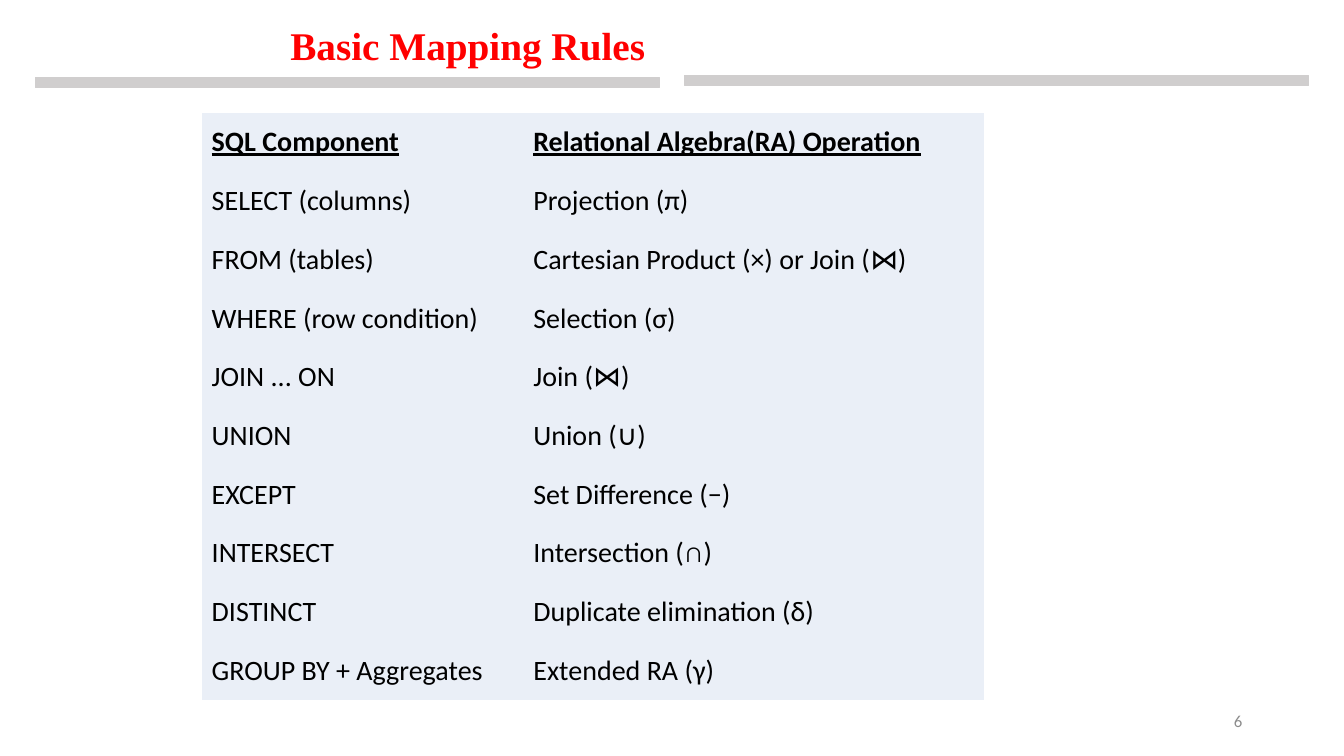
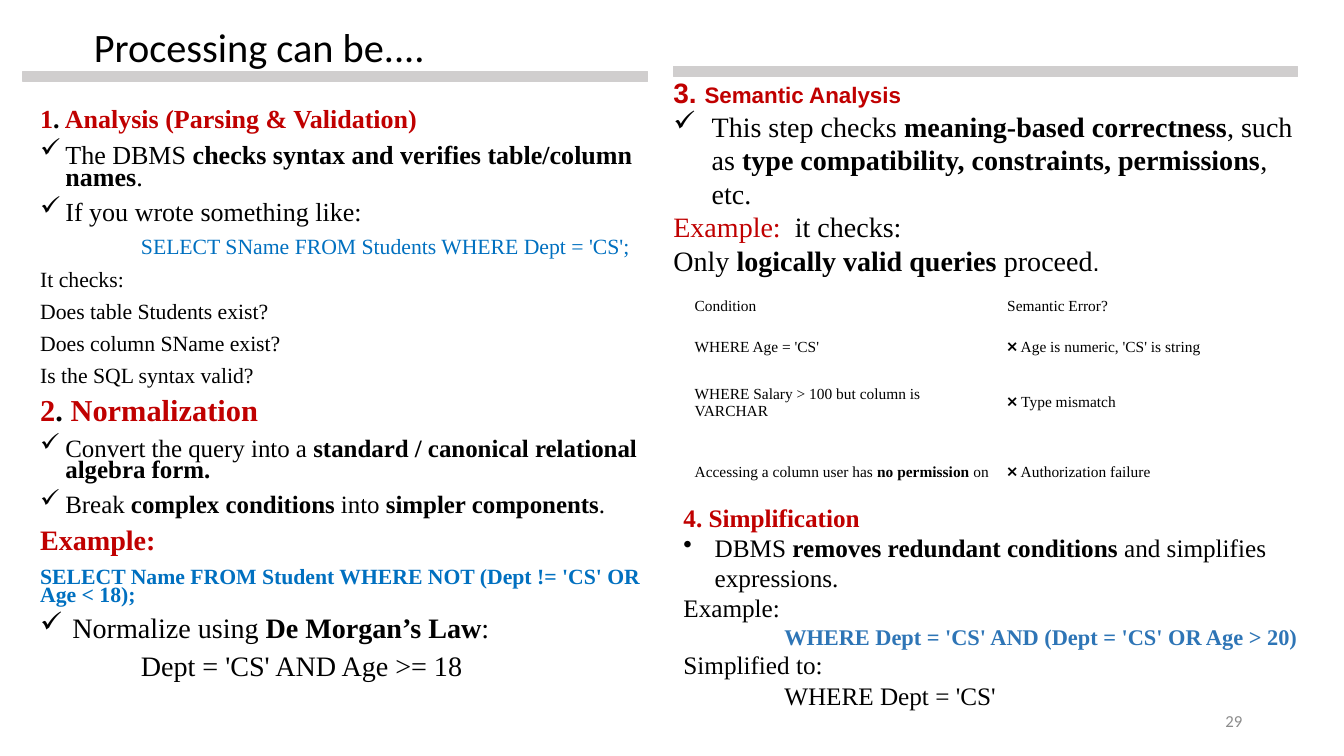
from dataclasses import dataclass
from typing import Optional

from lxml import etree
from pptx import Presentation
from pptx.dml.color import RGBColor
from pptx.enum import shapes, text
from pptx.oxml import ns
from pptx.util import Inches, Pt

SERIF, SANS, HEADING = "Times New Roman", "Calibri", "Arial"
BLACK, RED, DARK_RED = "000000", "FF0000", "C00000"
BLUE, STEEL_BLUE = "0070C0", "2E75B6"
BAND_GRAY, NUMBER_GRAY, TABLE_TINT = "D0CECE", "8C8C8C", "EAEFF7"
CHECK, DOT = "✓", "•"
PLAIN_TABLE = "{2D5ABB26-0587-4C30-8999-92F81FD0307C}"


def color_of(value):
    return RGBColor.from_string(value)


@dataclass
class Run:
    text: str
    color: Optional[str] = None
    size: Optional[float] = None
    font: Optional[str] = None


@dataclass
class Line:
    runs: tuple
    size: float
    color: str = BLACK
    bold: bool = False
    font: str = SERIF
    bullet: str = ""
    indent: float = 0
    underline: bool = False


def line(*runs, size, **style):
    return Line(runs, size, **style)


class Deck:
    def __init__(self):
        self.presentation = Presentation()
        self.presentation.slide_width = Inches(13.33)
        self.presentation.slide_height = Inches(7.5)
        self.slide = None

    def add_slide(self, number, title, box, bands, anchor):
        self.slide = self.presentation.slides.add_slide(self.presentation.slide_layouts[5])
        shape = self.slide.shapes.title
        shape.left, shape.top, shape.width, shape.height = map(Inches, box)
        self.fill_frame(shape.text_frame, [title], anchor)
        for left, top in bands:
            self.band(left, top)
        label = line(number, size=12, font=SANS, color=NUMBER_GRAY)
        frame = self.text_block((9.42, 6.95, 3, 0.4), [label], text.MSO_ANCHOR.MIDDLE)
        frame.paragraphs[0].alignment = text.PP_ALIGN.RIGHT

    def band(self, left, top):
        shape = self.slide.shapes.add_shape(
            shapes.MSO_SHAPE.RECTANGLE, Inches(left), Inches(top), Inches(6.19), Inches(0.1))
        shape.shadow.inherit = False
        shape.fill.solid()
        shape.fill.fore_color.rgb = color_of(BAND_GRAY)
        shape.line.color.rgb = color_of(BAND_GRAY)
        shape.line.width = Pt(1)

    def text_block(self, box, lines, anchor=text.MSO_ANCHOR.TOP, spacing=1, before=0):
        shape = self.slide.shapes.add_textbox(*map(Inches, box))
        self.fill_frame(shape.text_frame, lines, anchor, spacing, before)
        return shape.text_frame

    def fill_frame(self, frame, lines, anchor, spacing=1, before=0):
        frame.word_wrap = True
        frame.auto_size = text.MSO_AUTO_SIZE.NONE
        frame.vertical_anchor = anchor
        for index, content in enumerate(lines):
            paragraph = frame.add_paragraph() if index else frame.paragraphs[0]
            paragraph.alignment = text.PP_ALIGN.LEFT
            paragraph.line_spacing = spacing
            paragraph.space_before = Pt(before)
            self.set_line(paragraph, content)

    def set_line(self, paragraph, content):
        if content.indent:
            properties = paragraph._p.get_or_add_pPr()
            properties.set("marL", str(Inches(content.indent)))
            if content.bullet:
                properties.set("indent", str(-Inches(content.indent)))
                etree.SubElement(properties, ns.qn("a:buChar"), char=content.bullet)
        font = paragraph.font
        font.name, font.size = content.font, Pt(content.size)
        font.bold, font.underline = content.bold, content.underline
        font.color.rgb = color_of(content.color)
        for item in content.runs:
            piece = item if isinstance(item, Run) else Run(item)
            for index, part in enumerate(piece.text.split("**")):
                if part:
                    self.add_run(paragraph, part, piece, index % 2 == 1)

    def add_run(self, paragraph, words, style, bold):
        run = paragraph.add_run()
        run.text = words
        if bold:
            run.font.bold = True
        if style.color:
            run.font.color.rgb = color_of(style.color)
        if style.size:
            run.font.size = Pt(style.size)
        if style.font:
            run.font.name = style.font

    def table(self, box, widths, heights, rows, fill=None, margins=(0.1, 0.05), **style):
        frame = self.slide.shapes.add_table(len(rows), len(widths), *map(Inches, box))
        for style_id in frame._element.iter(ns.qn("a:tableStyleId")):
            style_id.text = PLAIN_TABLE
        table = frame.table
        table.first_row = table.horz_banding = False
        for column, width in zip(table.columns, widths):
            column.width = Inches(width)
        for row, height, values in zip(table.rows, heights, rows):
            row.height = Inches(height)
            for cell, value in zip(row.cells, values):
                cell.vertical_anchor = text.MSO_ANCHOR.MIDDLE
                cell.margin_left = cell.margin_right = Inches(margins[0])
                cell.margin_top = cell.margin_bottom = Inches(margins[1])
                if fill:
                    cell.fill.solid()
                    cell.fill.fore_color.rgb = color_of(fill)
                else:
                    cell.fill.background()
                content = value if isinstance(value, Line) else line(value, **style)
                self.set_line(cell.text_frame.paragraphs[0], content)


def mapping_rules(deck):
    deck.add_slide(
        "6", line("Basic Mapping Rules", size=28, color=RED, bold=True),
        (2.78, 0.16, 4.63, 0.57), [(0.35, 0.77), (6.79, 0.75)], text.MSO_ANCHOR.TOP)
    headers = [line(name, size=20, font=SANS, bold=True, underline=True)
               for name in ("SQL Component", "Relational Algebra(RA) Operation")]
    rules = [
        ("SELECT (columns)", "Projection (π)"),
        ("FROM (tables)", "Cartesian Product (×) or Join (⋈)"),
        ("WHERE (row condition)", "Selection (σ)"),
        ("JOIN ... ON", "Join (⋈)"),
        ("UNION", "Union (∪)"),
        ("EXCEPT", "Set Difference (−)"),
        ("INTERSECT", "Intersection (∩)"),
        ("DISTINCT", "Duplicate elimination (δ)"),
        ("GROUP BY + Aggregates", "Extended RA (γ)"),
    ]
    rows = [headers, *rules]
    deck.table((2, 1.12, 7.76, 5.83), (3.19, 4.57), [5.83 / len(rows)] * len(rows),
               rows, fill=TABLE_TINT, size=20, font=SANS)


def processing_steps(deck):
    deck.add_slide(
        "29", line("Processing can be....", size=28.8, font=SANS),
        (0.83, 0.28, 11.5, 0.36), [(0.23, 0.71), (6.68, 0.66)], text.MSO_ANCHOR.MIDDLE)
    check = dict(bullet=CHECK, indent=0.25)
    heading = dict(color=DARK_RED, bold=True)
    questions = ("It checks:", "Does table Students exist?",
                 "Does column SName exist?", "Is the SQL syntax valid?")
    deck.text_block((0.3, 1.05, 6.28, 6.3), [
        line("1", Run(".", BLACK), " Analysis (Parsing & Validation)", size=18.6, **heading),
        line("The DBMS **checks syntax and verifies table/column names**.", size=18.6, **check),
        line("If you wrote something like:", size=18.6, **check),
        line("SELECT SName FROM Students WHERE Dept = 'CS';", size=15.5, color=BLUE, indent=1),
        *[line(question, size=15.5) for question in questions],
        line("2", Run(". ", BLACK), "Normalization", size=21.7, **heading),
        line("Convert the query into a **standard / canonical relational algebra form.**",
             size=17.8, **check),
        line("Break **complex conditions** into **simpler components**.", size=17.8, **check),
        line("Example:", size=20.1, **heading),
        line("SELECT Name FROM Student WHERE NOT (Dept != 'CS' OR Age < 18);",
             size=15.5, color=BLUE, bold=True),
        line(" Normalize using **De Morgan’s Law**:", size=20.1, **check),
        line("Dept = 'CS' AND Age >= 18", size=20.1, indent=1),
    ], spacing=0.7, before=10)
    deck.table((6.83, 2.83, 6.2, 2.2), (3.1, 3.1), (0.41, 0.41, 0.69, 0.69), [
        ("Condition", "Semantic Error?"),
        ("WHERE Age = 'CS'", "❌ Age is numeric, 'CS' is string"),
        ("WHERE Salary > 100 but column is VARCHAR", "❌ Type mismatch"),
        ("Accessing a column user has **no permission** on", "❌ Authorization failure"),
    ], margins=(0.06, 0.03), size=11)
    deck.text_block((6.58, 0.7, 6.51, 2.1), [
        line("3. ", Run("Semantic Analysis", size=16), size=20, font=HEADING, **heading),
        line("This step checks **meaning-based correctness**, such as "
             "**type compatibility, constraints, permissions**, etc.",
             size=20, bullet=CHECK, indent=0.38),
        line(Run("Example: ", DARK_RED), " it checks:", size=20),
        line("Only **logically valid queries** proceed", Run(".", size=18, font=HEADING), size=20),
    ])
    deck.text_block((6.68, 4.93, 6.51, 2.22), [
        line("4. Simplification", size=18, **heading),
        line("DBMS **removes redundant conditions** and simplifies expressions.",
             size=18, bullet=DOT, indent=0.31),
        line("Example:", size=18),
        line("WHERE Dept = 'CS' AND (Dept = 'CS' OR Age > 20)",
             size=16, color=STEEL_BLUE, bold=True, indent=1),
        line("Simplified to:", size=18),
        line("WHERE Dept = 'CS'", size=18, indent=1),
    ])


def main():
    deck = Deck()
    mapping_rules(deck)
    processing_steps(deck)
    deck.presentation.save("out.pptx")


if __name__ == "__main__":
    main()
